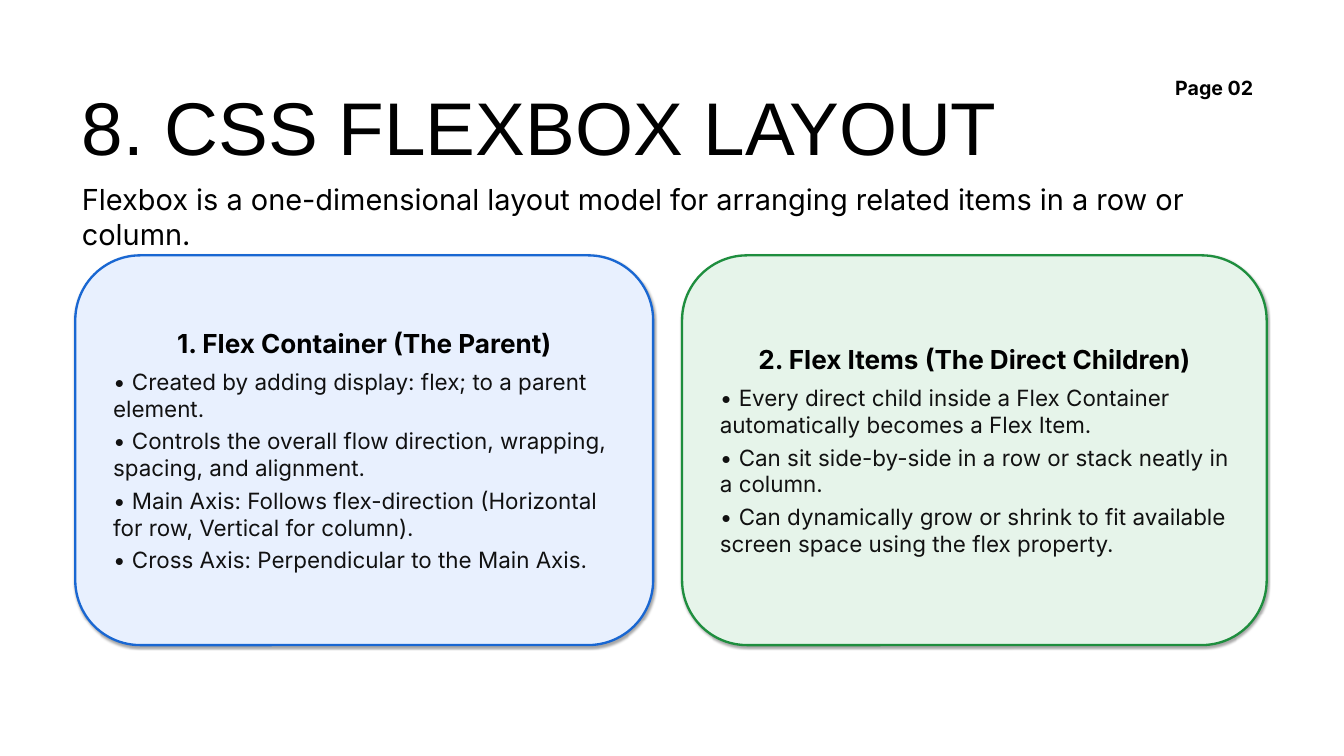
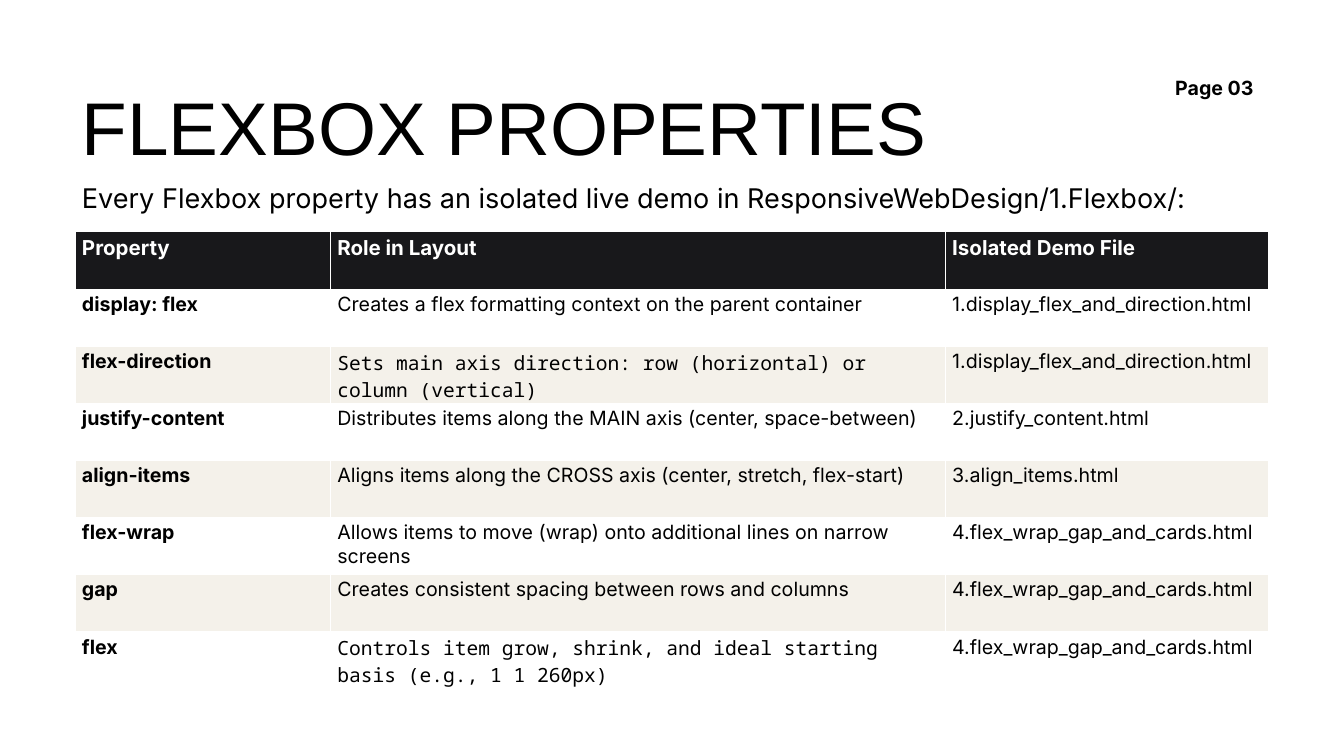
import pptx
import pptx.dml.color
import pptx.enum.shapes
import pptx.enum.text
import pptx.oxml
import pptx.oxml.ns
import pptx.util

Inches = pptx.util.Inches
ALIGN = pptx.enum.text.PP_ALIGN
ANCHOR = pptx.enum.text.MSO_ANCHOR

COLORS = {
    "black": "000000", "white": "FFFFFF", "body": "111111",
    "blue fill": "E8F0FE", "blue line": "1967D2",
    "green fill": "E6F4EA", "green line": "1E8E3E",
    "header": "18181B", "band": "F4F1EA",
}
SANS, MONO = "Inter", "Noto Sans Mono"
LEFT, CONTENT_WIDTH = 1.12, 17.75

# Text styles shared by both slides
TITLE = {"name": "Arial", "size": 80, "bold": False, "color": "black"}
PAGE = {"name": SANS, "size": 21, "bold": True, "color": "black"}
SUBTITLE = {"name": SANS, "size": 31, "bold": False, "color": "black"}
PANEL_HEADING = {"name": SANS, "size": 28, "bold": True, "color": "black"}
PANEL_POINT = {"name": SANS, "size": 24, "bold": False, "color": "body"}
TABLE_HEADER = {"name": SANS, "size": 22, "bold": True, "color": "white"}
TABLE_NAME = PAGE
TABLE_CELL = {**PAGE, "bold": False}

PANELS = [
    ((LEFT, 3.8, 8.6, 5.8), "blue", "1. Flex Container (The Parent)", [
        "Created by adding display: flex; to a parent element.",
        "Controls the overall flow direction, wrapping, spacing, and alignment.",
        "Main Axis: Follows flex-direction (Horizontal for row, Vertical for column).",
        "Cross Axis: Perpendicular to the Main Axis.",
    ]),
    ((10.15, 3.8, 8.7, 5.8), "green", "2. Flex Items (The Direct Children)", [
        "Every direct child inside a Flex Container automatically becomes a Flex Item.",
        "Can sit side-by-side in a row or stack neatly in a column.",
        "Can dynamically grow or shrink to fit available screen space using the flex property.",
    ]),
]

DIRECTION_DEMO = "1.display_flex_and_direction.html"
WRAP_DEMO = "4.flex_wrap_gap_and_cards.html"
PROPERTIES = [
    ("Property", "Role in Layout", "Isolated Demo File"),
    ("display: flex", "Creates a flex formatting context on the parent container", DIRECTION_DEMO),
    ("flex-direction", "Sets main axis direction: row (horizontal) or column (vertical)", DIRECTION_DEMO),
    ("justify-content", "Distributes items along the MAIN axis (center, space-between)", "2.justify_content.html"),
    ("align-items", "Aligns items along the CROSS axis (center, stretch, flex-start)", "3.align_items.html"),
    ("flex-wrap", "Allows items to move (wrap) onto additional lines on narrow screens", WRAP_DEMO),
    ("gap", "Creates consistent spacing between rows and columns", WRAP_DEMO),
    ("flex", "Controls item grow, shrink, and ideal starting basis (e.g., 1 1 260px)", WRAP_DEMO),
]
MONO_ROLES = {"flex-direction", "flex"}
COLUMN_WIDTHS = [3.8, 9.15, 4.8]


def rgb(color):
    return pptx.dml.color.RGBColor.from_string(COLORS[color])


def set_attributes(target, values):
    for name, value in values.items():
        setattr(target, name, value)


def write(paragraph, text, style, **paragraph_format):
    """Put one styled run into a paragraph."""
    set_attributes(paragraph, paragraph_format)
    run = paragraph.add_run()
    run.text = text
    set_attributes(run.font, {
        "name": style["name"],
        "size": pptx.util.Pt(style["size"]),
        "bold": style["bold"],
    })
    run.font.color.rgb = rgb(style["color"])


def fill(target, color):
    target.fill.solid()
    target.fill.fore_color.rgb = rgb(color)


def add_text(slide, box, text, style, wrap=True):
    shape = slide.shapes.add_textbox(*map(Inches, box))
    set_attributes(shape.text_frame, {
        "word_wrap": wrap,
        "auto_size": pptx.enum.text.MSO_AUTO_SIZE.SHAPE_TO_FIT_TEXT,
    })
    write(shape.text_frame.paragraphs[0], text, style)


def add_soft_shadow(shape):
    """Drop a faint shadow straight down."""
    shape.shadow.inherit = False
    effects = shape._element.spPr.find(pptx.oxml.ns.qn("a:effectLst"))
    effects.append(pptx.oxml.parse_xml(
        f'<a:outerShdw {pptx.oxml.ns.nsdecls("a")} blurRad="{pptx.util.Pt(3.1)}" '
        f'dist="{pptx.util.Pt(1.8)}" dir="5400000" rotWithShape="0">'
        f'<a:srgbClr val="{COLORS["black"]}"><a:alpha val="35000"/></a:srgbClr>'
        '</a:outerShdw>'))


def add_page(presentation, number, title, subtitle, subtitle_size=31):
    """Start a slide with its title, page label and subtitle."""
    slide = presentation.slides.add_slide(presentation.slide_layouts[6])
    add_text(slide, (LEFT, 1.15, 16, 1.35), title, TITLE)
    add_text(slide, (17.39, 1.08, 1.55, 0.45), f"Page {number:02}", PAGE, wrap=False)
    add_text(slide, (LEFT, 2.65, CONTENT_WIDTH, 0.8), subtitle,
             {**SUBTITLE, "size": subtitle_size})
    return slide


def add_panel(slide, box, hue, heading, points):
    """Rounded panel with a centred heading above its points."""
    shape = slide.shapes.add_shape(
        pptx.enum.shapes.MSO_SHAPE.ROUNDED_RECTANGLE, *map(Inches, box))
    fill(shape, f"{hue} fill")
    shape.line.color.rgb = rgb(f"{hue} line")
    shape.line.width = pptx.util.Pt(2.5)
    add_soft_shadow(shape)
    frame = shape.text_frame
    set_attributes(frame, {
        "word_wrap": True, "vertical_anchor": ANCHOR.MIDDLE,
        "margin_left": Inches(0.28), "margin_right": Inches(0.28),
        "margin_top": Inches(0.22), "margin_bottom": Inches(0.22),
    })
    write(frame.paragraphs[0], heading, PANEL_HEADING,
          alignment=ALIGN.CENTER, space_after=pptx.util.Pt(10))
    for point in points:
        write(frame.add_paragraph(), f"• {point}", PANEL_POINT,
              alignment=ALIGN.LEFT, space_after=pptx.util.Pt(6))


def cell_style(row, column, name):
    if row == 0:
        return TABLE_HEADER
    if column == 0:
        return TABLE_NAME
    if column == 1 and name in MONO_ROLES:
        return {**TABLE_CELL, "name": MONO}
    return TABLE_CELL


def add_property_table(slide, box):
    """Dark header row, then white and tinted rows in turn."""
    table = slide.shapes.add_table(
        len(PROPERTIES), len(COLUMN_WIDTHS), *map(Inches, box)).table
    for column, width in zip(table.columns, COLUMN_WIDTHS):
        column.width = Inches(width)
    for row, texts in enumerate(PROPERTIES):
        color = "header" if row == 0 else ("band", "white")[row % 2]
        for column, text in enumerate(texts):
            cell = table.cell(row, column)
            fill(cell, color)
            write(cell.text_frame.paragraphs[0], text,
                  cell_style(row, column, texts[0]))


def main():
    presentation = pptx.Presentation()
    set_attributes(presentation, {
        "slide_width": Inches(20), "slide_height": Inches(11.25)})

    # Container and items
    slide = add_page(
        presentation, 2, "8. CSS FLEXBOX LAYOUT",
        "Flexbox is a one-dimensional layout model for arranging related items in a row or column.")
    for panel in PANELS:
        add_panel(slide, *panel)

    # Property reference
    slide = add_page(
        presentation, 3, "FLEXBOX PROPERTIES",
        "Every Flexbox property has an isolated live demo in ResponsiveWebDesign/1.Flexbox/:",
        subtitle_size=29)
    add_property_table(slide, (LEFT, 3.45, CONTENT_WIDTH, 6.8))

    presentation.save("out.pptx")


if __name__ == "__main__":
    main()
